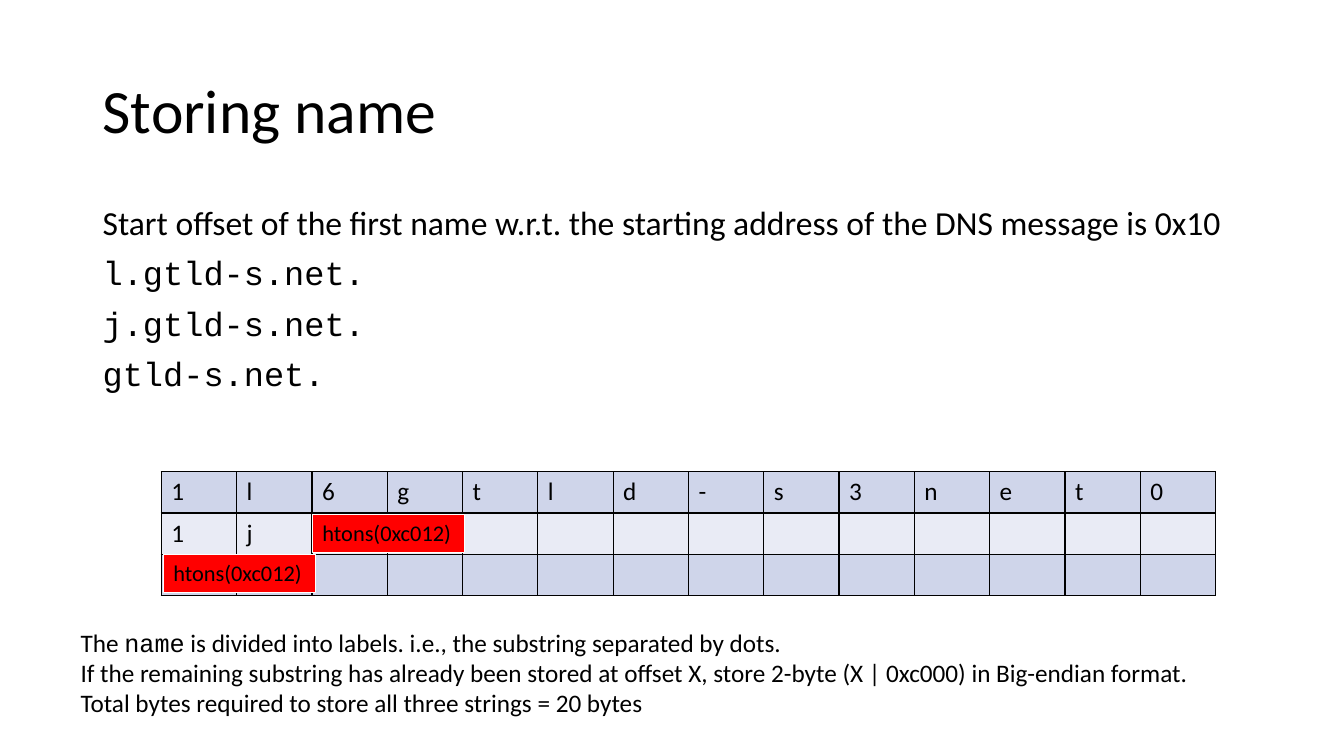
from lxml import etree
from pptx import Presentation
from pptx import util as u
from pptx.dml.color import RGBColor
from pptx.enum import shapes, text
from pptx.oxml import ns

PX = 9144  # EMU per px, 100 px to the inch
BLACK = RGBColor(0x00, 0x00, 0x00)
WHITE = RGBColor(0xFF, 0xFF, 0xFF)
RED = RGBColor(0xFF, 0x00, 0x00)
BANDS = (RGBColor(0xCF, 0xD5, 0xEA), RGBColor(0xE9, 0xEB, 0xF5))
SANS, MONO = "Calibri", "Courier New"

INTRO = [
    [("Start offset of the first name w.r.t. the starting address of the DNS message is 0x10", SANS)],
    [("l.gtld-s.net.", MONO)],
    [("j.gtld-s.net.", MONO)],
    [("gtld-s.net.", MONO)],
]
STORED_ROWS = ["1l6gtld-s3net0", "1j", ""]  # one character per byte
COLUMNS = len(STORED_ROWS[0])
POINTERS = [(310, 510), (162, 550)]
NOTES = [
    [("The ", SANS), ("name", MONO),
     (" is divided into labels. i.e., the substring separated by dots.", SANS)],
    [("If the remaining substring has already been stored at offset X, "
      "store 2-byte (X | 0xc000) in Big-endian format.", SANS)],
    [("Total bytes required to store all three strings = 20 bytes", SANS)],
]


def px(*lengths):
    return [u.Emu(length * PX) for length in lengths]


def apply(target, values):
    for name, value in values.items():
        setattr(target, name, value)


def write(frame, lines, size, spacing=1.0, gap=0):
    """Fill a text frame; each line is a list of (words, font) spans."""
    for index, line in enumerate(lines):
        para = frame.paragraphs[0] if index == 0 else frame.add_paragraph()
        apply(para, {"alignment": text.PP_ALIGN.LEFT, "line_spacing": spacing,
                     "space_before": u.Pt(gap if index else 0)})
        for words, font in line:
            span = para.add_run()
            span.text = words
            apply(span.font, {"name": font, "size": u.Pt(size)})
            span.font.color.rgb = BLACK


def add_text(page, place, lines, size, anchor=text.MSO_ANCHOR.TOP, **spacing):
    box = page.shapes.add_textbox(*px(*place))
    apply(box.text_frame, {"word_wrap": True, "vertical_anchor": anchor})
    write(box.text_frame, lines, size, **spacing)


def add_pointer(page, left, top):
    box = page.shapes.add_shape(shapes.MSO_SHAPE.RECTANGLE, *px(left, top, 151, 38))
    box.shadow.inherit = False
    box.fill.solid()
    box.fill.fore_color.rgb = RED
    box.line.color.rgb = WHITE
    box.line.width = u.Pt(0.75)
    apply(box.text_frame, {"word_wrap": True, "vertical_anchor": text.MSO_ANCHOR.TOP})
    write(box.text_frame, [[("htons(0xc012)", SANS)]], 16)


def add_borders(cell):
    properties = cell._tc.get_or_add_tcPr()
    for side in ("a:lnL", "a:lnR", "a:lnT", "a:lnB"):
        line = etree.SubElement(properties, ns.qn(side), w=str(u.Pt(1)))
        fill = etree.SubElement(line, ns.qn("a:solidFill"))
        etree.SubElement(fill, ns.qn("a:srgbClr"), val=str(BLACK))


def add_byte_table(page, left, top, width, row_height):
    height = row_height * len(STORED_ROWS)
    table = page.shapes.add_table(
        len(STORED_ROWS), COLUMNS, *px(left, top, width, height)).table
    for row, stored in enumerate(STORED_ROWS):
        for column in range(COLUMNS):
            cell = table.cell(row, column)
            add_borders(cell)
            cell.fill.solid()
            cell.fill.fore_color.rgb = BANDS[row % 2]
            if column < len(stored):
                write(cell.text_frame, [[(stored[column], SANS)]], 18)


def main():
    deck = Presentation()
    deck.slide_width, deck.slide_height = px(1333, 750)
    page = deck.slides.add_slide(deck.slide_layouts[6])

    # Title and the names to store
    add_text(page, (92, 40, 1150, 145), [[("Storing name", SANS)]], 44,
             text.MSO_ANCHOR.MIDDLE, spacing=0.9)
    add_text(page, (92, 200, 1150, 476), INTRO, 24, spacing=0.9, gap=10)

    # Stored bytes, with pointers to the shared suffix
    add_byte_table(page, 160, 468, 1046, 41)
    for left, top in POINTERS:
        add_pointer(page, left, top)

    # Explanation
    add_text(page, (70, 617, 1192, 101), NOTES, 18)

    deck.save("out.pptx")


if __name__ == "__main__":
    main()
